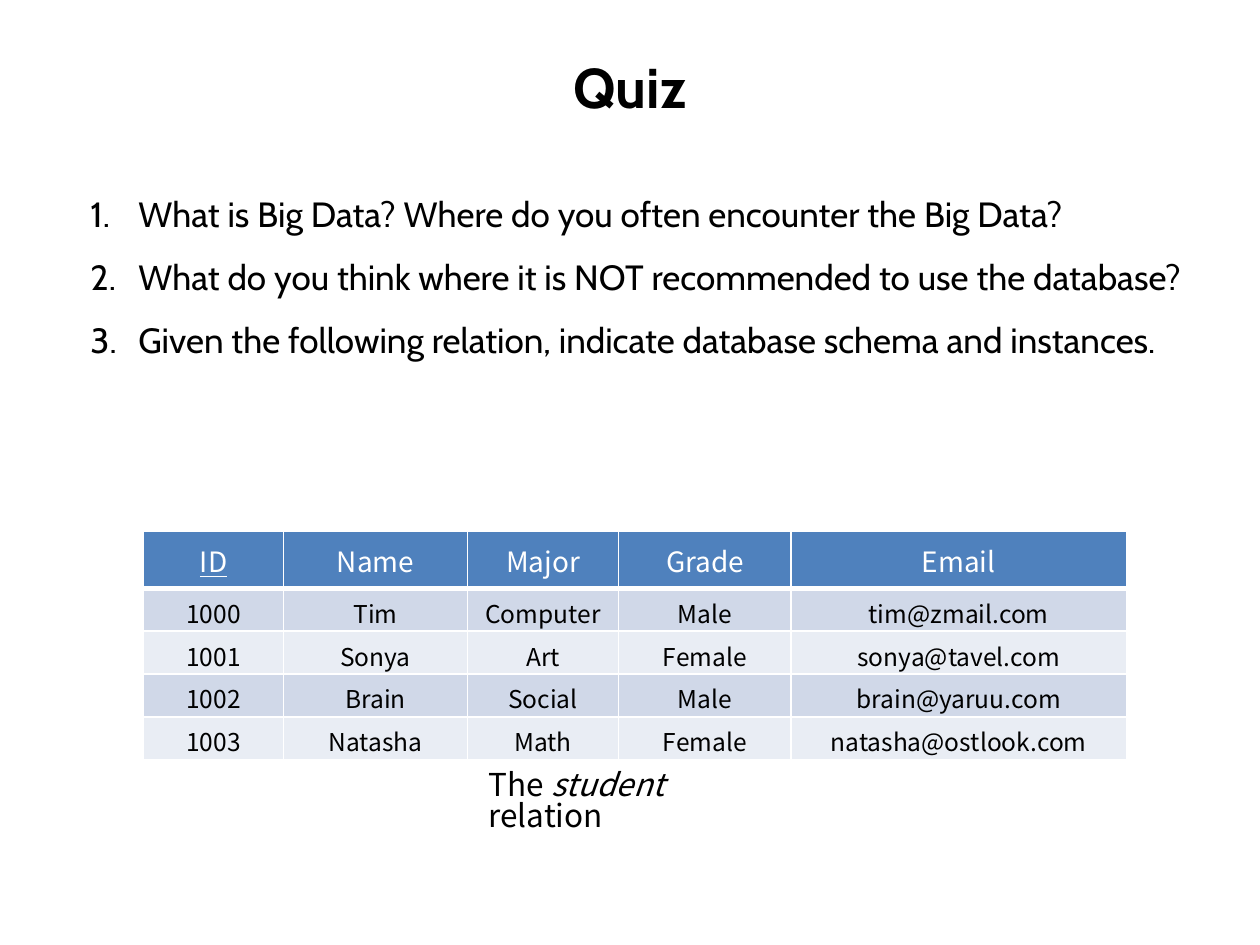
from lxml import etree
from pptx import Presentation
from pptx.dml.color import RGBColor
from pptx.enum.text import MSO_ANCHOR, PP_ALIGN
from pptx.oxml.ns import qn
from pptx.util import Inches, Pt

CENTER, LEFT, JUSTIFY = PP_ALIGN.CENTER, PP_ALIGN.LEFT, PP_ALIGN.JUSTIFY
MIDDLE = MSO_ANCHOR.MIDDLE

BLACK = RGBColor(0x00, 0x00, 0x00)
WHITE = RGBColor(0xFF, 0xFF, 0xFF)
HEADER_BLUE = RGBColor(0x4F, 0x81, 0xBD)
BANDS = (RGBColor(0xD0, 0xD8, 0xE8), RGBColor(0xE9, 0xED, 0xF4))

HEADING_FONT = "Cabin"
TABLE_FONT = "Noto Sans CJK KR"

QUESTIONS = (
    "What is Big Data? Where do you often encounter the Big Data?",
    "What do you think where it is NOT recommended to use the database?",
    "Given the following relation, indicate database schema and instances.",
)
STUDENTS = (
    ("ID", "Name", "Major", "Grade", "Email"),
    ("1000", "Tim", "Computer", "Male", "tim@zmail.com"),
    ("1001", "Sonya", "Art", "Female", "sonya@tavel.com"),
    ("1002", "Brain", "Social", "Male", "brain@yaruu.com"),
    ("1003", "Natasha", "Math", "Female", "natasha@ostlook.com"),
)
COLUMN_WIDTHS = (1.11, 1.46, 1.2, 1.37, 2.66)
HEADER_HEIGHT, ROW_HEIGHT = 0.45, 0.34


def write(para, text, font=TABLE_FONT, size=18, color=BLACK, align=LEFT,
          bold=False, italic=False, underline=False):
    para.alignment = align
    span = para.add_run()
    span.text = text
    span.font.name = font
    span.font.size = Pt(size)
    span.font.color.rgb = color
    span.font.bold = bold
    span.font.italic = italic
    span.font.underline = underline


def add_text_box(page, box):
    frame = page.shapes.add_textbox(*map(Inches, box)).text_frame
    frame.word_wrap = True
    return frame


def add_title(page, box, text):
    title = page.shapes.title
    title.left, title.top, title.width, title.height = map(Inches, box)
    title.text_frame.vertical_anchor = MIDDLE
    write(title.text_frame.paragraphs[0], text, font=HEADING_FONT, size=32,
          align=CENTER, bold=True)


def number_paragraph(para):
    properties = para._p.get_or_add_pPr()
    properties.set("marL", str(Inches(0.5)))
    properties.set("indent", str(Inches(-0.38)))
    etree.SubElement(properties, qn("a:buFont"), typeface="+mj-lt")
    etree.SubElement(properties, qn("a:buAutoNum"), type="arabicPeriod")


def add_questions(page, box):
    frame = add_text_box(page, box)
    for index, question in enumerate(QUESTIONS):
        para = frame.add_paragraph() if index else frame.paragraphs[0]
        write(para, question, font=HEADING_FONT, size=20, align=JUSTIFY)
        para.line_spacing = 1.5
        number_paragraph(para)


def set_borders(cell, bottom_width):
    """Draw white cell borders; the lines must come before the cell's fill."""
    properties = cell._tc.get_or_add_tcPr()
    widths = {"a:lnL": 1, "a:lnR": 1, "a:lnT": 1, "a:lnB": bottom_width}
    for index, (side, width) in enumerate(widths.items()):
        line = etree.Element(qn(side), w=str(Pt(width)))
        fill = etree.SubElement(line, qn("a:solidFill"))
        etree.SubElement(fill, qn("a:srgbClr"), val=str(WHITE))
        properties.insert(index, line)


def add_student_table(page, box):
    table = page.shapes.add_table(len(STUDENTS), len(COLUMN_WIDTHS),
                                  *map(Inches, box)).table
    for column, width in zip(table.columns, COLUMN_WIDTHS):
        column.width = Inches(width)
    for row_index, record in enumerate(STUDENTS):
        is_header = row_index == 0
        table.rows[row_index].height = Inches(HEADER_HEIGHT if is_header else ROW_HEIGHT)
        for column_index, text in enumerate(record):
            cell = table.cell(row_index, column_index)
            cell.vertical_anchor = MIDDLE
            cell.fill.solid()
            cell.fill.fore_color.rgb = HEADER_BLUE if is_header else BANDS[(row_index - 1) % 2]
            set_borders(cell, bottom_width=3 if is_header else 1)
            write(cell.text_frame.paragraphs[0], text, align=CENTER,
                  size=16 if is_header else 14,
                  color=WHITE if is_header else BLACK,
                  underline=is_header and column_index == 0)


def add_caption(page, box):
    para = add_text_box(page, box).paragraphs[0]
    para.line_spacing = 0.83
    write(para, "The ")
    write(para, "student ", italic=True)
    write(para, "relation")


def main():
    deck = Presentation()
    deck.slide_width, deck.slide_height = Inches(10), Inches(7.5)
    page = deck.slides.add_slide(deck.slide_layouts.get_by_name("Title Only"))
    add_title(page, (0.5, 0.3, 9, 0.77), "Quiz")
    add_questions(page, (0.5, 1.31, 9, 5.83))
    add_student_table(page, (1.14, 4.22, 7.8, 1.81))
    add_caption(page, (3.78, 6.07, 2.52, 0.4))
    deck.save("out.pptx")


if __name__ == "__main__":
    main()
